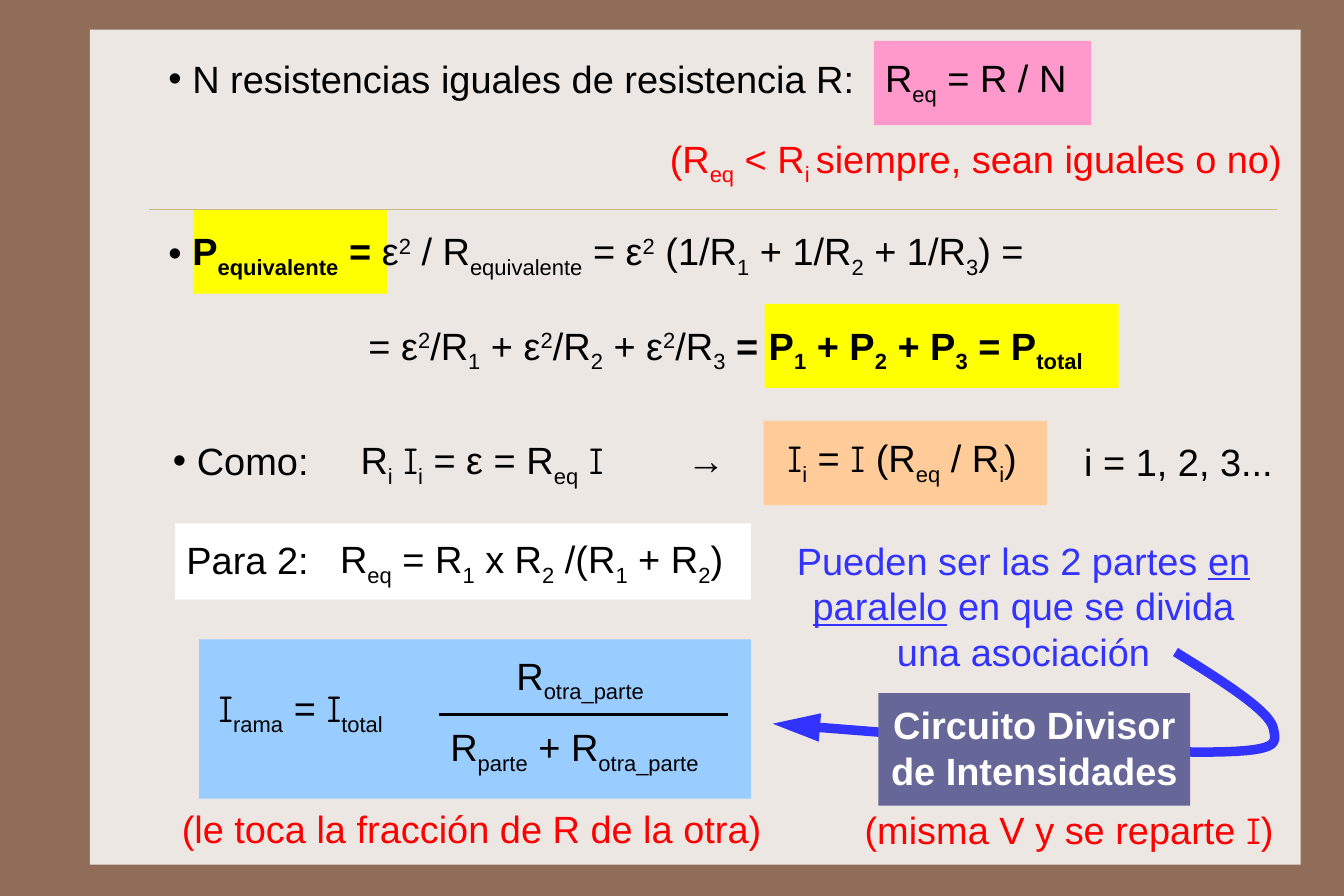
from lxml import etree
from pptx import Presentation
from pptx import util as u
from pptx.dml.color import RGBColor
from pptx.enum import shapes, text
from pptx.oxml import ns

PX = 9144
BLACK, RED, BLUE, WHITE = "000000", "FF0000", "3333FF", "FFFFFF"
LEFT, CENTER = text.PP_ALIGN.LEFT, text.PP_ALIGN.CENTER
ink = RGBColor.from_string

deck = Presentation()
deck.slide_width, deck.slide_height = u.Cm(30), u.Cm(20)
slide = deck.slides.add_slide(deck.slide_layouts[1])
slide.background.fill.solid()
slide.background.fill.fore_color.rgb = ink("906D58")
slide.shapes.title.element.getparent().remove(slide.shapes.title.element)
bullets = slide.placeholders[1]


def write(paragraph, markup, color, align=LEFT):
    paragraph.alignment = align
    for part in markup.split("|"):
        body = part.lstrip("_^*%~")
        marks = part[:len(part) - len(body)]
        run = paragraph.add_run()
        run.text = body
        look = {"name": "Comic Neue" if "~" in marks else "Arial", "size": u.Pt(24),
                "bold": "*" in marks, "underline": "%" in marks}
        for key, value in look.items():
            setattr(run.font, key, value)
        run.font.color.rgb = ink(color)
        for mark, shift in (("_", "-25000"), ("^", "30000")):
            if mark in marks:
                run.font._element.set("baseline", shift)


def panel(left, top, width, height, color):
    box = slide.shapes.add_shape(shapes.MSO_SHAPE.RECTANGLE,
                                 *(n * PX for n in (left, top, width, height)))
    box.shadow.inherit = False
    box.fill.solid()
    box.fill.fore_color.rgb = ink(color)
    box.line.fill.background()
    return box


panel(79, 26, 1064, 734, "EDE7E3")

curve = [(1033, 573)]
for a, b, end in [((1075, 599), (1116, 625), (1119, 640)),
                  ((1122, 654), (1126, 661), (1053, 661)),
                  ((979, 660), (829, 648), (679, 636))]:
    start = curve[-1]
    for step in range(1, 17):
        t = step / 16
        weights = ((1 - t) ** 3, 3 * t * (1 - t) ** 2, 3 * t * t * (1 - t), t ** 3)
        curve.append(tuple(sum(w * p[axis] for w, p in zip(weights, (start, a, b, end)))
                           for axis in (0, 1)))
points = [(round(x * PX), round(y * PX)) for x, y in curve]
builder = slide.shapes.build_freeform(*points[0])
builder.add_line_segments(points[1:], close=False)
arrow = builder.convert_to_shape()
arrow.shadow.inherit = False
arrow.fill.background()
arrow.line.color.rgb = ink(BLUE)
arrow.line.width = u.Pt(6)
etree.SubElement(arrow.line._get_or_add_ln(), ns.qn("a:tailEnd"), type="triangle", len="lg")

panel(672, 267, 311, 74, "FFFF00")
panel(170, 184, 170, 74, "FFFF00")
panel(175, 562, 485, 140, "99CCFF")

for left, top, width, height, fill, inset, align, color, lines in [
    (768, 36, 191, 74, "FF99CC", 10, LEFT, BLACK, ["R|_eq| = R / N"]),
    (671, 370, 249, 74, "FFCC99", 21, LEFT, BLACK, ["~I|_i| = |~I| (R|_eq| / R|_i|)"]),
    (154, 460, 506, 67, WHITE, 10, LEFT, BLACK, ["Para 2:"]),
    (772, 609, 274, 99, "666699", 10, CENTER, WHITE, ["*Circuito Divisor", "*de Intensidades"]),
]:
    frame = panel(left, top, width, height, fill).text_frame
    layout = {"margin_left": inset * PX, "margin_right": 10 * PX, "margin_top": 0,
              "margin_bottom": 4 * PX, "word_wrap": False,
              "vertical_anchor": text.MSO_ANCHOR.MIDDLE}
    for key, value in layout.items():
        setattr(frame, key, value)
    for i, line in enumerate(lines):
        paragraph = frame.add_paragraph() if i else frame.paragraphs[0]
        write(paragraph, line, color, align)

for x1, x2, y, color, weight in [(131, 1122, 184, "CBBD83", 0.25), (386, 640, 628, BLACK, 2)]:
    rule = slide.shapes.add_connector(shapes.MSO_CONNECTOR.STRAIGHT,
                                      x1 * PX, y * PX, x2 * PX, y * PX)
    rule.line.color.rgb = ink(color)
    rule.line.width = u.Pt(weight)
    etree.SubElement(rule._element.spPr, ns.qn("a:effectLst"))

for left, top, width, height, color, align, markup in [
    (314, 274, 673, 59, BLACK, LEFT,
     "= ε|^2|/R|_1| + ε|^2|/R|_2| + ε|^2|/R|_3| |*= P|*_1|* + P|*_2|* + P|*_3|* = P|*_total"),
    (572, 110, 571, 59, RED, CENTER, "(R|_eq| < R|_i |siempre, sean iguales o no)"),
    (673, 463, 453, 139, BLUE, CENTER,
     "Pueden ser las 2 partes |%en paralelo| en que se divida una asociación"),
    (307, 375, 250, 59, BLACK, LEFT, "R|_i| |~I|_i| = ε = R|_eq| |~I"),
    (594, 375, 60, 59, BLACK, LEFT, "→"),
    (943, 376, 187, 59, BLACK, LEFT, "i = 1, 2, 3..."),
    (289, 462, 365, 59, BLACK, LEFT, "R|_eq| = R|_1| x R|_2| /(R|_1| + R|_2|)"),
    (182, 593, 196, 59, BLACK, LEFT, "~I|_rama| = |~I|_total"),
    (444, 564, 147, 59, BLACK, LEFT, "R|_otra_parte"),
    (386, 627, 260, 59, BLACK, LEFT, "R|_parte| + R|_otra_parte"),
    (143, 699, 543, 55, RED, CENTER, "(le toca la fracción de R de la otra)"),
    (732, 700, 415, 55, RED, CENTER, "(misma V y se reparte |~I|)"),
]:
    frame = slide.shapes.add_textbox(*(n * PX for n in (left, top, width, height))).text_frame
    layout = {"margin_left": 10 * PX, "margin_right": 10 * PX, "margin_top": 9 * PX,
              "margin_bottom": 9 * PX, "word_wrap": align == CENTER}
    for key, value in layout.items():
        setattr(frame, key, value)
    write(frame.paragraphs[0], markup, color, align)

slide.shapes._spTree.append(bullets.element)
place = {"left": 148 * PX, "top": 49 * PX, "width": 800 * PX, "height": 390 * PX}
for key, value in place.items():
    setattr(bullets, key, value)
frame = bullets.text_frame
layout = {"margin_left": 0, "margin_right": 0, "margin_top": 0, "margin_bottom": 0,
          "word_wrap": True, "auto_size": text.MSO_AUTO_SIZE.NONE,
          "vertical_anchor": text.MSO_ANCHOR.TOP}
for key, value in layout.items():
    setattr(frame, key, value)
for i, (gap, indent, markup) in enumerate([
    (0, 21, "N resistencias iguales de resistencia R:"),
    (80, 21, "*P|*_equivalente|* =| ε|^2| / R|_equivalente| = ε|^2| (1/R|_1| + 1/R|_2| + 1/R|_3|) ="),
    (100, 25, "Como:"),
]):
    paragraph = frame.add_paragraph() if i else frame.paragraphs[0]
    props = paragraph._p.get_or_add_pPr()
    props.set("marL", str(indent * PX))
    props.set("indent", str(-21 * PX))
    etree.SubElement(props, ns.qn("a:buChar"), char="•")
    paragraph.space_before = u.Pt(gap)
    write(paragraph, markup, BLACK)

deck.save("out.pptx")
